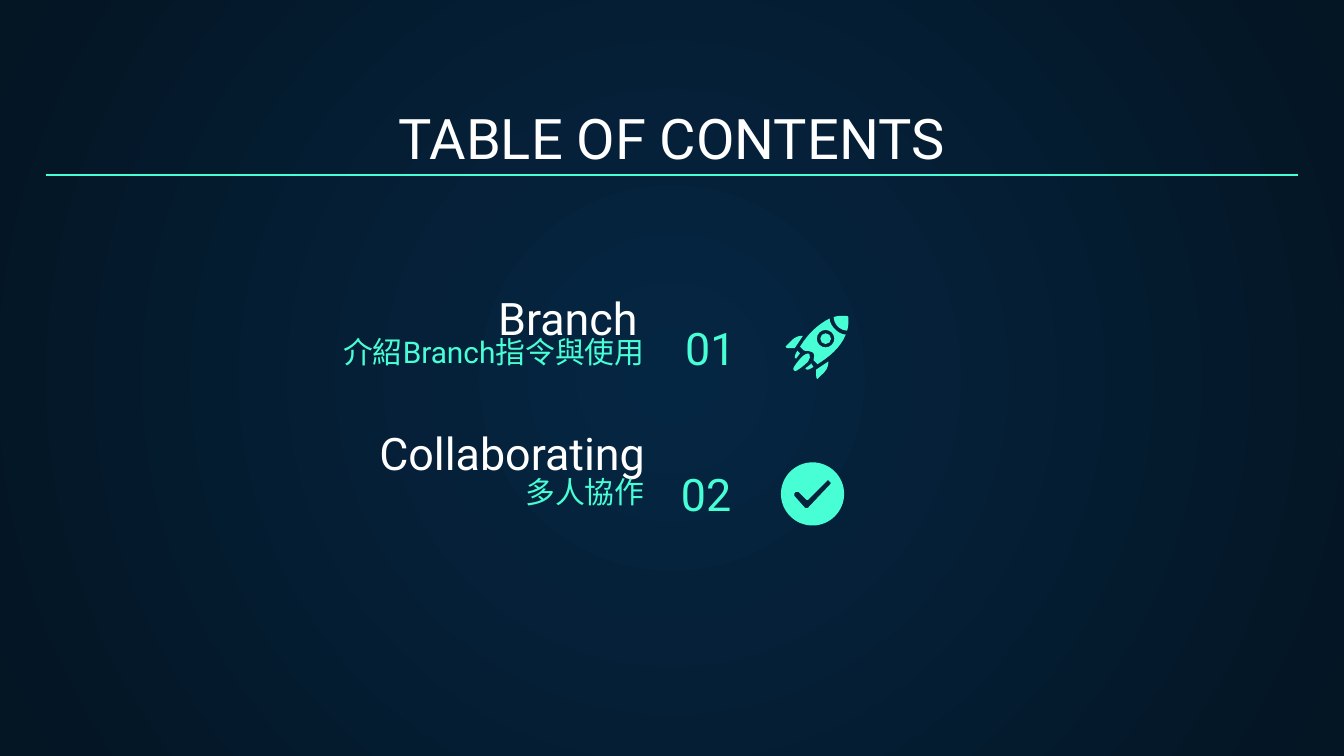
import lxml.etree
import pptx
import pptx.dml.color
import pptx.enum.shapes
import pptx.enum.text
import pptx.oxml
import pptx.oxml.ns
import pptx.util

Cm = pptx.util.Cm
Pt = pptx.util.Pt
qn = pptx.oxml.ns.qn

# Content
TITLE = "TABLE OF CONTENTS"
HUES = {"core": "052643", "edge": "041523", "mint": "48FFD5", "white": "FFFFFF"}
FONT = "Roboto"
UNIT = 0.0254  # icon grid step in cm


def ring(x, y, r):
    """A circle as four curves."""
    k = 0.55 * r
    return [(x, y - r),
            (x + k, y - r, x + r, y - k, x + r, y),
            (x + r, y + k, x + k, y + r, x, y + r),
            (x - k, y + r, x - r, y + k, x - r, y),
            (x - r, y - k, x - k, y - r, x, y - r)]


# Icons: parts hold contours; pairs are corners, sixes are curves
ROCKET = [
    [[(13, 26), (12, 28, 11, 29, 11, 31), (12, 32), (13, 31, 14, 29, 15, 28)]],
    [[(23, 35), (23, 36), (22, 37, 20, 38, 19, 39), (20, 40), (21, 40),
      (22, 40, 23, 39, 25, 38)]],
    [[(21, 28), (20, 28, 18, 29, 17, 30), (13, 34, 11, 37, 10, 39),
      (10, 40, 10, 41, 11, 41), (12, 41), (14, 40, 17, 38, 21, 34),
      (22, 32, 23, 30, 22, 29), (22, 28, 21, 28, 21, 28)]],
    [[(15, 15), (14, 15, 11, 16, 9, 18), (5, 22), (4, 22, 4, 23, 5, 24),
      (6, 24), (8, 24, 9, 24, 11, 24), (13, 21, 15, 18, 17, 15)]],
    [[(36, 34), (33, 36, 30, 38, 27, 40), (27, 41, 27, 42, 27, 45),
      (27, 46, 27, 47, 28, 47), (29, 46), (33, 42), (36, 39, 36, 35, 36, 34)]],
    [ring(34, 17, 4)],
    [[(48, 0), (45, 0, 42, 0, 40, 1), (40, 3, 41, 6, 43, 8),
      (45, 10, 48, 11, 50, 11), (51, 8, 51, 5, 51, 1), (51, 1, 50, 0, 50, 0)]],
    [ring(34, 17, 6.5),
     [(37, 2), (29, 6, 21, 13, 15, 23), (18, 26), (20, 26, 22, 26, 24, 27),
      (26, 28, 26, 31, 25, 33), (28, 36), (36, 31, 45, 24, 49, 14),
      (46, 14, 43, 12, 41, 10), (39, 8, 37, 5, 37, 2)]],
]
CHECK = [
    [[(35, 13), (37, 15), (37, 16), (20, 34), (18, 34), (10, 25), (10, 23),
      (11, 22), (13, 22), (19, 28), (20, 28)],
     ring(23.5, 23.5, 23.5)],
]
ICONS = [(ROCKET, 14.74, 5.97), (CHECK, 14.76, 8.74)]

# Each text: wording, then left and top in cm
NUMS = [("01", 12.7, 5.64), ("02", 12.62, 8.41)]
HEADS = [("Branch", 6.53, 5.54), ("Collaborating", 6.67, 8.08)]
NOTES = [("介紹Branch指令與使用", 5.95, 5.56), ("多人協作", 5.95, 8.2)]


def tint(name):
    return pptx.dml.color.RGBColor.from_string(HUES[name])


def write(slide, text, left, top, wide, high=1.68, size=24, hue="white", align="RIGHT"):
    box = slide.shapes.add_textbox(Cm(left), Cm(top), Cm(wide), Cm(high))
    frame = box.text_frame
    frame.word_wrap = True
    frame.vertical_anchor = pptx.enum.text.MSO_ANCHOR.BOTTOM
    frame.margin_left = frame.margin_right = Cm(0.25)
    frame.margin_top = frame.margin_bottom = Cm(0.25)
    para = frame.paragraphs[0]
    para.alignment = pptx.enum.text.PP_ALIGN[align]
    run = para.add_run()
    run.text = text
    run.font.name = FONT
    run.font.size = Pt(size)
    run.font.color.rgb = tint(hue)


def draw(shapes, part, left, top):
    def place(x, y):
        return Cm(left + x * UNIT), Cm(top + y * UNIT)

    pen = None
    for contour in part:
        start, *ends = [place(*step[-2:]) for step in contour]
        if pen is None:
            pen = shapes.build_freeform(*start)
        else:
            pen.move_to(*start)
        pen.add_line_segments(ends, close=True)
    shape = pen.convert_to_shape()

    # Bend the straight segments that have control points
    steps = [step for contour in part for step in contour[1:]]
    lines = list(shape.element.iter(qn("a:lnTo")))
    for line, step in zip(lines, steps):
        if len(step) == 6:
            line.tag = qn("a:cubicBezTo")
            for i in (0, 1):
                x, y = place(*step[2 * i:2 * i + 2])
                knot = lxml.etree.Element(qn("a:pt"))
                knot.set("x", str(x - shape.left))
                knot.set("y", str(y - shape.top))
                line.insert(i, knot)

    shape.shadow.inherit = False
    shape.fill.solid()
    shape.fill.fore_color.rgb = tint("mint")
    shape.line.fill.background()


def paint(slide):
    """Fill the background with a round gradient."""
    fill = slide.background.fill
    fill.gradient()
    for stop, name, spot in zip(fill.gradient_stops, ("core", "edge"), (0, 1)):
        stop.color.rgb = tint(name)
        stop.position = spot
    grad = slide.element.find(".//" + qn("a:gradFill"))
    grad.remove(grad.find(qn("a:lin")))
    glow = lxml.etree.SubElement(grad, qn("a:path"), {"path": "circle"})
    sides = {side: "50000" for side in "ltrb"}
    lxml.etree.SubElement(glow, qn("a:fillToRect"), sides)


def main():
    deck = pptx.Presentation()
    deck.slide_width, deck.slide_height = Cm(25.4), Cm(14.29)
    slide = deck.slides.add_slide(deck.slide_layouts[6])
    paint(slide)

    # Title, numbers and headings
    write(slide, TITLE, 0.86, 1.79, 23.67, size=30, align="CENTER")
    for num in NUMS:
        write(slide, *num, wide=3.28, hue="mint", align="LEFT")
    for head in HEADS:
        write(slide, *head, wide=5.77, high=1.23)

    # Icons
    for icon, left, top in ICONS:
        home = slide.shapes.add_group_shape().shapes if len(icon) > 1 else slide.shapes
        for part in icon:
            draw(home, part, left, top)

    # Rule under the title
    kind = pptx.enum.shapes.MSO_CONNECTOR.STRAIGHT
    rule = slide.shapes.add_connector(kind, Cm(0.86), Cm(3.31), Cm(24.54), Cm(3.31))
    rule.line.color.rgb = tint("mint")
    rule.line.width = Pt(0.75)
    lxml.etree.SubElement(rule.element.spPr, qn("a:effectLst"))

    # Notes
    for note in NOTES:
        write(slide, *note, wide=6.48, size=16, hue="mint")

    deck.save("out.pptx")


if __name__ == "__main__":
    main()
